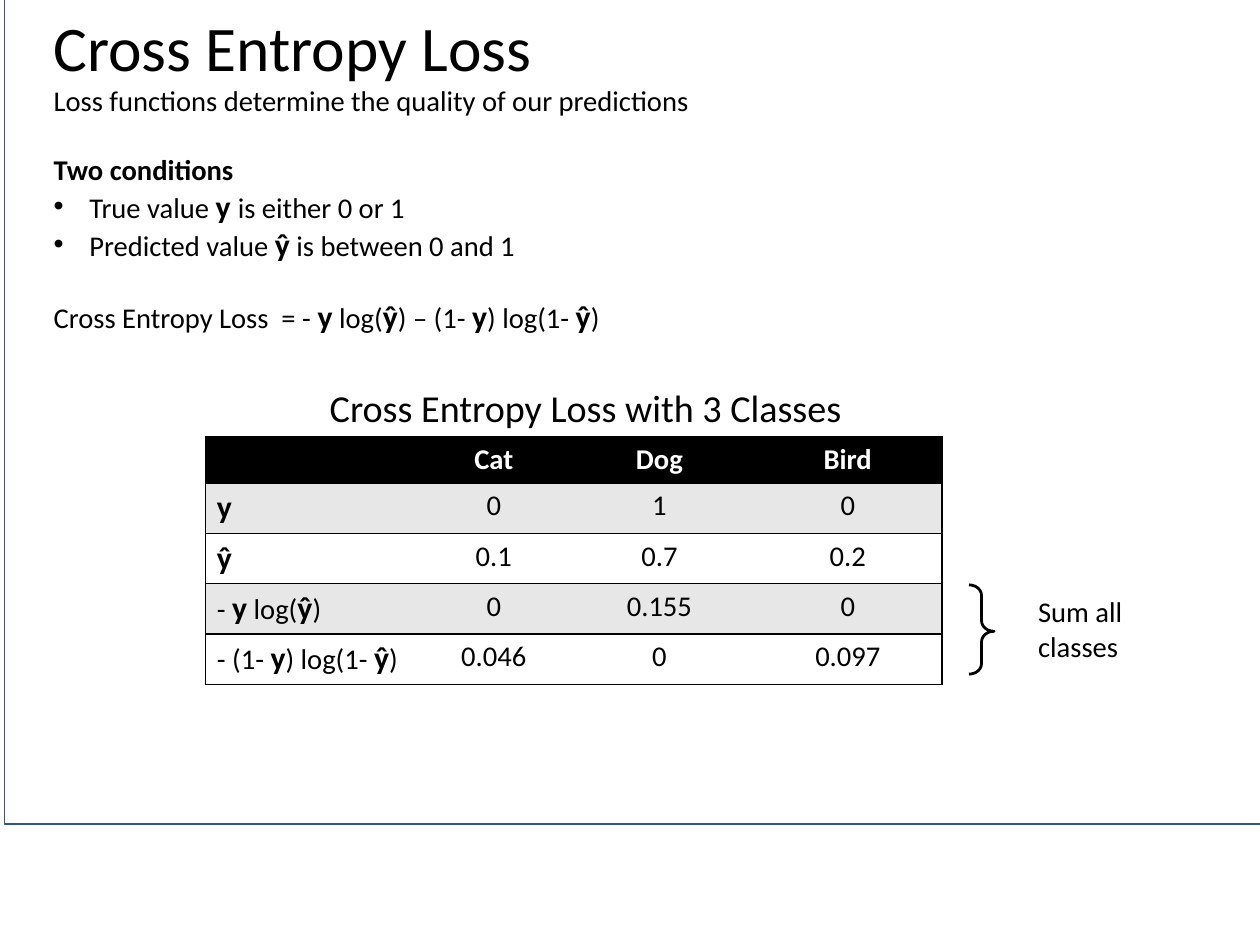
from typing import NamedTuple

from lxml import etree
from pptx import Presentation
from pptx import util as u
from pptx.dml.color import RGBColor
from pptx.enum import shapes, text
from pptx.oxml import ns

BLACK = RGBColor(0x00, 0x00, 0x00)
WHITE = RGBColor(0xFF, 0xFF, 0xFF)
BAND_GRAY = RGBColor(0xE7, 0xE7, 0xE7)
FRAME_BLUE = RGBColor(0x32, 0x54, 0x91)
FONT = "Calibri"
SLIDE_WIDTH, SLIDE_HEIGHT = 793.75, 595.25
BODY_SIZE, SYMBOL_SIZE = 18, 20
BULLET_INDENT = 22.5
BLANK_LINE = 21.7


class Box(NamedTuple):
    left: float
    top: float
    width: float
    height: float

    def lengths(self) -> list:
        return [u.Pt(value) for value in self]


class Line(NamedTuple):
    """A paragraph; asterisks enclose the bold, larger symbols."""
    marked: str
    bold: bool = False
    bullet: bool = False
    space_before: float = 0


class Label(NamedTuple):
    box: Box
    size: float
    lines: list


BODY_LINES = [
    Line("Loss functions determine the quality of our predictions"),
    Line("Two conditions", bold=True, space_before=BLANK_LINE),
    Line("True value *y *is either 0 or 1", bullet=True),
    Line("Predicted value *ŷ* is between 0 and 1", bullet=True),
    Line("Cross Entropy Loss  = - *y* log(*ŷ*) – (1- *y*) log(1- *ŷ*)",
         space_before=BLANK_LINE),
]
LABELS = [
    Label(Box(200.6, 238.6, 339.8, 36), 24, [Line("Cross Entropy Loss with 3 Classes")]),
    Label(Box(646.9, 370.8, 72, 51), BODY_SIZE, [Line("Sum all"), Line("classes")]),
]
TABLE_ROWS = [
    ["", "Cat", "Dog", "Bird"],
    ["*y*", "0", "1", "0"],
    ["*ŷ*", "0.1", "0.7", "0.2"],
    ["- *y* log(*ŷ*)", "0", "0.155", "0"],
    ["- (1- *y*) log(1- *ŷ*)", "0.046", "0", "0.097"],
]
COLUMN_WIDTHS = [136.6, 90, 118.7, 118.7]
HEADER_HEIGHT, ROW_HEIGHT = 29.2, 31.5


def add_runs(paragraph, marked: str, size: float, bold: bool = False,
             color: RGBColor = BLACK) -> None:
    for index, piece in enumerate(marked.split("*")):
        if not piece:
            continue
        symbol = index % 2 == 1
        run = paragraph.add_run()
        run.text = piece
        run.font.name = FONT
        run.font.size = u.Pt(SYMBOL_SIZE if symbol else size)
        run.font.bold = bold or symbol
        run.font.color.rgb = color


def set_bullet(paragraph, bullet: bool) -> None:
    properties = paragraph._p.get_or_add_pPr()
    indent = u.Pt(BULLET_INDENT) if bullet else 0
    properties.set("marL", str(indent))
    properties.set("indent", str(-indent))
    if bullet:
        etree.SubElement(properties, ns.qn("a:buFont"), typeface="Arial")
        etree.SubElement(properties, ns.qn("a:buChar"), char="•")
    else:
        etree.SubElement(properties, ns.qn("a:buNone"))


def fill_text(shape, lines: list, size: float, wrap: bool = True) -> None:
    frame = shape.text_frame
    frame.word_wrap = wrap
    frame.auto_size = text.MSO_AUTO_SIZE.NONE
    frame.vertical_anchor = text.MSO_ANCHOR.TOP
    for index, line in enumerate(lines):
        paragraph = frame.add_paragraph() if index else frame.paragraphs[0]
        paragraph.alignment = text.PP_ALIGN.LEFT
        paragraph.space_before = u.Pt(line.space_before)
        set_bullet(paragraph, line.bullet)
        add_runs(paragraph, line.marked, size, line.bold)


def fill_placeholder(shape, box: Box, lines: list, size: float) -> None:
    shape.left, shape.top, shape.width, shape.height = box.lengths()
    fill_text(shape, lines, size)


def set_borders(cell, visible: dict) -> None:
    properties = cell._tc.get_or_add_tcPr()
    for side in ("L", "R", "T", "B"):
        border = etree.SubElement(properties, ns.qn(f"a:ln{side}"), w=str(u.Pt(1)))
        if visible.get(side, True):
            fill = etree.SubElement(border, ns.qn("a:solidFill"))
            etree.SubElement(fill, ns.qn("a:srgbClr"), val=str(BLACK))
        else:
            etree.SubElement(border, ns.qn("a:noFill"))


def add_loss_table(slide) -> None:
    heights = [HEADER_HEIGHT] + [ROW_HEIGHT] * (len(TABLE_ROWS) - 1)
    box = Box(129.5, 275, sum(COLUMN_WIDTHS), sum(heights))
    table = slide.shapes.add_table(len(heights), len(COLUMN_WIDTHS), *box.lengths()).table
    table.first_row = table.horz_banding = False
    for column, width in zip(table.columns, COLUMN_WIDTHS):
        column.width = u.Pt(width)
    for row_index, values in enumerate(TABLE_ROWS):
        table.rows[row_index].height = u.Pt(heights[row_index])
        header = row_index == 0
        background = BLACK if header else BAND_GRAY if row_index % 2 else WHITE
        for column_index, value in enumerate(values):
            cell = table.cell(row_index, column_index)
            set_borders(cell, {"L": column_index == 0,
                               "R": column_index == len(values) - 1})
            cell.fill.solid()
            cell.fill.fore_color.rgb = background
            paragraph = cell.text_frame.paragraphs[0]
            paragraph.alignment = text.PP_ALIGN.CENTER if column_index else text.PP_ALIGN.LEFT
            add_runs(paragraph, value, BODY_SIZE, header, WHITE if header else BLACK)


def add_outline(slide, kind, box: Box, color: RGBColor, weight: float):
    shape = slide.shapes.add_shape(kind, *box.lengths())
    shape.shadow.inherit = False
    shape.fill.background()
    shape.line.color.rgb = color
    shape.line.width = u.Pt(weight)
    return shape


def main() -> None:
    presentation = Presentation()
    presentation.slide_width = u.Pt(SLIDE_WIDTH)
    presentation.slide_height = u.Pt(SLIDE_HEIGHT)
    slide = presentation.slides.add_slide(presentation.slide_layouts[1])
    title, body = slide.placeholders

    # Frame behind everything else
    frame = add_outline(slide, shapes.MSO_SHAPE.RECTANGLE,
                        Box(2.9, -5.8, 812.9, 524.9), FRAME_BLUE, 1)
    frame.fill.solid()
    frame.fill.fore_color.rgb = WHITE
    title._element.addprevious(frame._element)

    # Title, conditions and formula
    fill_placeholder(title, Box(26.6, 1.4, 427, 56), [Line("Cross Entropy Loss")], 40)
    fill_placeholder(body, Box(26.6, 48.9, 427, 169), BODY_LINES, BODY_SIZE)

    # Table of losses
    add_loss_table(slide)

    # Brace over the summed rows
    brace = add_outline(slide, shapes.MSO_SHAPE.LEFT_BRACE,
                        Box(610.4, 368.4, 15.8, 56.2), BLACK, 1.75)
    brace.rotation = 180
    brace.adjustments[0], brace.adjustments[1] = 0.42, 0.48

    # Table caption and brace label
    for label in LABELS:
        textbox = slide.shapes.add_textbox(*label.box.lengths())
        fill_text(textbox, label.lines, label.size, wrap=False)

    presentation.save("out.pptx")


if __name__ == "__main__":
    main()
